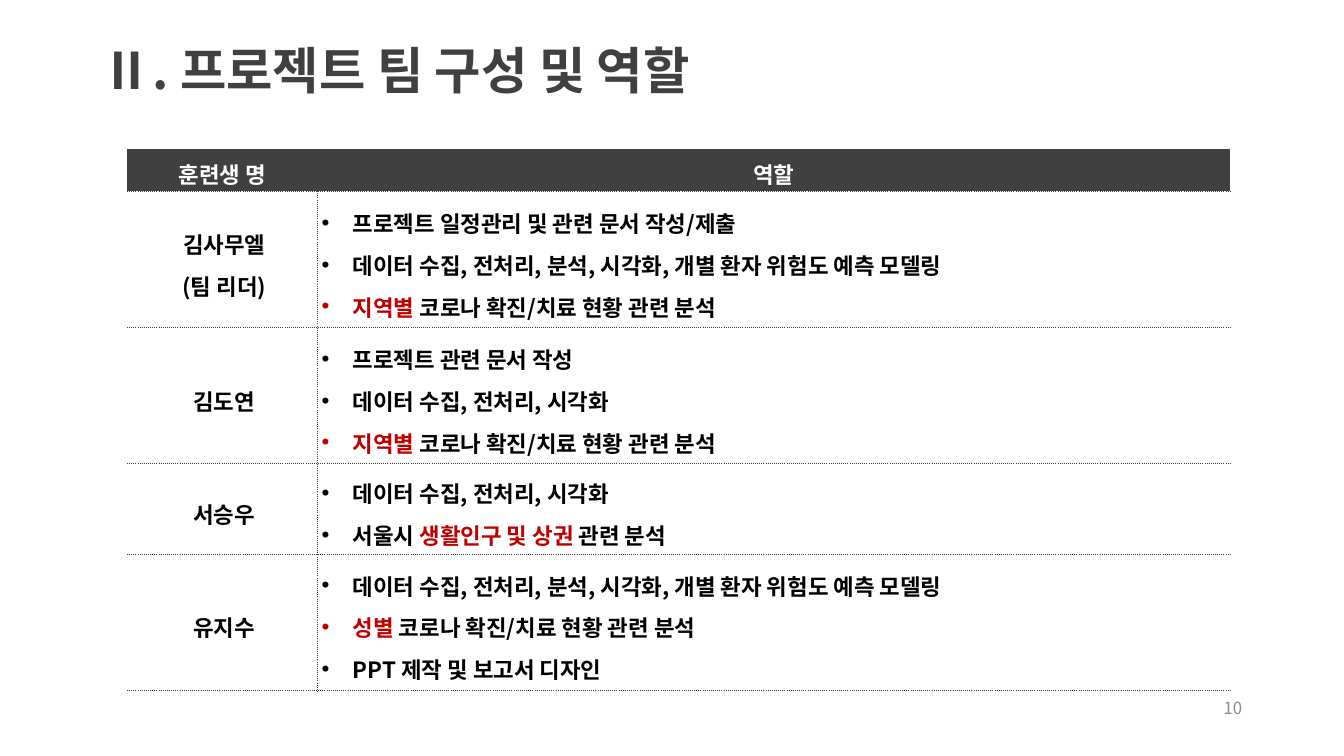
from lxml.etree import SubElement
from pptx import Presentation
from pptx.dml.color import RGBColor
from pptx.enum.text import MSO_ANCHOR, MSO_AUTO_SIZE, PP_ALIGN
from pptx.oxml import parse_xml
from pptx.oxml.ns import nsdecls, qn
from pptx.util import Inches, Pt

DARK = RGBColor(0x40, 0x40, 0x40)
BLACK = RGBColor(0x00, 0x00, 0x00)
WHITE = RGBColor(0xFF, 0xFF, 0xFF)
RED = RGBColor(0xC0, 0x00, 0x00)
GRAY = RGBColor(0x8C, 0x8C, 0x8C)

# Members and their roles; text between asterisks is highlighted
HEADERS = ["훈련생 명", "역할"]
MEMBERS = [
    (["김사무엘", "(팀 리더)"], [
        "프로젝트 일정관리 및 관련 문서 작성/제출",
        "데이터 수집, 전처리, 분석, 시각화, 개별 환자 위험도 예측 모델링",
        "*지역별* 코로나 확진/치료 현황 관련 분석"]),
    (["김도연"], [
        "프로젝트 관련 문서 작성",
        "데이터 수집, 전처리, 시각화",
        "*지역별* 코로나 확진/치료 현황 관련 분석"]),
    (["서승우"], [
        "데이터 수집, 전처리, 시각화",
        "서울시 *생활인구 및 상권* 관련 분석"]),
    (["유지수"], [
        "데이터 수집, 전처리, 분석, 시각화, 개별 환자 위험도 예측 모델링",
        "*성별* 코로나 확진/치료 현황 관련 분석",
        "PPT 제작 및 보고서 디자인"]),
]
COLUMN_WIDTHS = [1.89, 9.05]
HEADER_HEIGHT = 0.42
ROW_HEIGHTS = {2: 0.9, 3: 1.35}


def write_text(paragraph, text, size=16, color=BLACK, bold=True, font="Noto Sans CJK KR",
               align=PP_ALIGN.LEFT, spacing=1.0, bullet=False):
    """Fill a paragraph, with the parts between asterisks in red."""
    paragraph.alignment = align
    paragraph.line_spacing = spacing
    if bullet:
        properties = paragraph._p.get_or_add_pPr()
        properties.set("marL", str(Inches(0.31)))
        properties.set("indent", str(Inches(-0.31)))
        SubElement(properties, qn("a:buFont")).set("typeface", "Arial")
        SubElement(properties, qn("a:buChar")).set("char", "•")
    for index, part in enumerate(text.split("*")):
        if not part:
            continue
        run = paragraph.add_run()
        run.text = part
        run.font.size = Pt(size)
        run.font.bold = bold
        run.font.name = font
        run.font.color.rgb = RED if index % 2 else color
        SubElement(run._r.get_or_add_rPr(), qn("a:ea")).set("typeface", font)


class SlideBuilder:
    def __init__(self, presentation):
        self.slide = presentation.slides.add_slide(presentation.slide_layouts[5])

    def place(self, shape, left, top, width, height):
        shape.left, shape.top = Inches(left), Inches(top)
        shape.width, shape.height = Inches(width), Inches(height)

    def title(self, text, *box):
        shape = self.slide.shapes.title
        self.place(shape, *box)
        frame = shape.text_frame
        frame.word_wrap = True
        frame.auto_size = MSO_AUTO_SIZE.SHAPE_TO_FIT_TEXT
        frame.vertical_anchor = MSO_ANCHOR.TOP
        write_text(frame.paragraphs[0], text, size=36, color=DARK)

    def page_number(self, text, *box):
        shape = self.slide.shapes.add_textbox(*map(Inches, box))
        frame = shape.text_frame
        frame.word_wrap = True
        frame.vertical_anchor = MSO_ANCHOR.MIDDLE
        write_text(frame.paragraphs[0], text, size=12, color=GRAY, bold=False,
                   align=PP_ALIGN.RIGHT)

    def border(self, cell, sides):
        """Draw dotted borders on the given sides and clear the others."""
        properties = cell._tc.get_or_add_tcPr()
        for index, side in enumerate("LRTB"):
            if side in sides:
                content = (f'<a:solidFill><a:srgbClr val="{DARK}"/></a:solidFill>'
                           '<a:prstDash val="sysDot"/>')
            else:
                content = "<a:noFill/>"
            properties.insert(index, parse_xml(
                f'<a:ln{side} {nsdecls("a")} w="{Pt(1)}">{content}</a:ln{side}>'))

    def cell(self, cell, lines, sides, fill=None, left_margin=0.04, **text_format):
        if fill is None:
            cell.fill.background()
        else:
            cell.fill.solid()
            cell.fill.fore_color.rgb = fill
        self.border(cell, sides)
        cell.vertical_anchor = MSO_ANCHOR.MIDDLE
        cell.margin_left = Inches(left_margin)
        cell.margin_right = cell.margin_top = cell.margin_bottom = 0
        frame = cell.text_frame
        for index, line in enumerate(lines):
            paragraph = frame.add_paragraph() if index else frame.paragraphs[0]
            write_text(paragraph, line, **text_format)

    def role_table(self, left, top):
        heights = [HEADER_HEIGHT] + [ROW_HEIGHTS[len(roles)] for _, roles in MEMBERS]
        table = self.slide.shapes.add_table(
            len(heights), len(COLUMN_WIDTHS), Inches(left), Inches(top),
            Inches(sum(COLUMN_WIDTHS)), Inches(sum(heights))).table
        table.horz_banding = False
        for column, width in zip(table.columns, COLUMN_WIDTHS):
            column.width = Inches(width)
        for row, height in zip(table.rows, heights):
            row.height = Inches(height)

        for index, header in enumerate(HEADERS):
            self.cell(table.cell(0, index), [header], "RB" if index == 0 else "LB",
                      fill=DARK, left_margin=0, color=WHITE,
                      align=PP_ALIGN.CENTER, spacing=1.2)
        for index, (names, roles) in enumerate(MEMBERS, start=1):
            self.cell(table.cell(index, 0), names, "RTB",
                      align=PP_ALIGN.CENTER, spacing=1.3)
            self.cell(table.cell(index, 1), roles, "LTB", spacing=1.3, bullet=True)


def main():
    presentation = Presentation()
    presentation.slide_width = Inches(13.33)
    presentation.slide_height = Inches(7.5)

    builder = SlideBuilder(presentation)
    builder.title("Ⅱ. 프로젝트 팀 구성 및 역할", 0.91, 0.34, 7.44, 0.71)
    builder.role_table(1.26, 1.48)
    builder.page_number("10", 9.42, 6.82, 3, 0.4)

    presentation.save("out.pptx")


if __name__ == "__main__":
    main()
